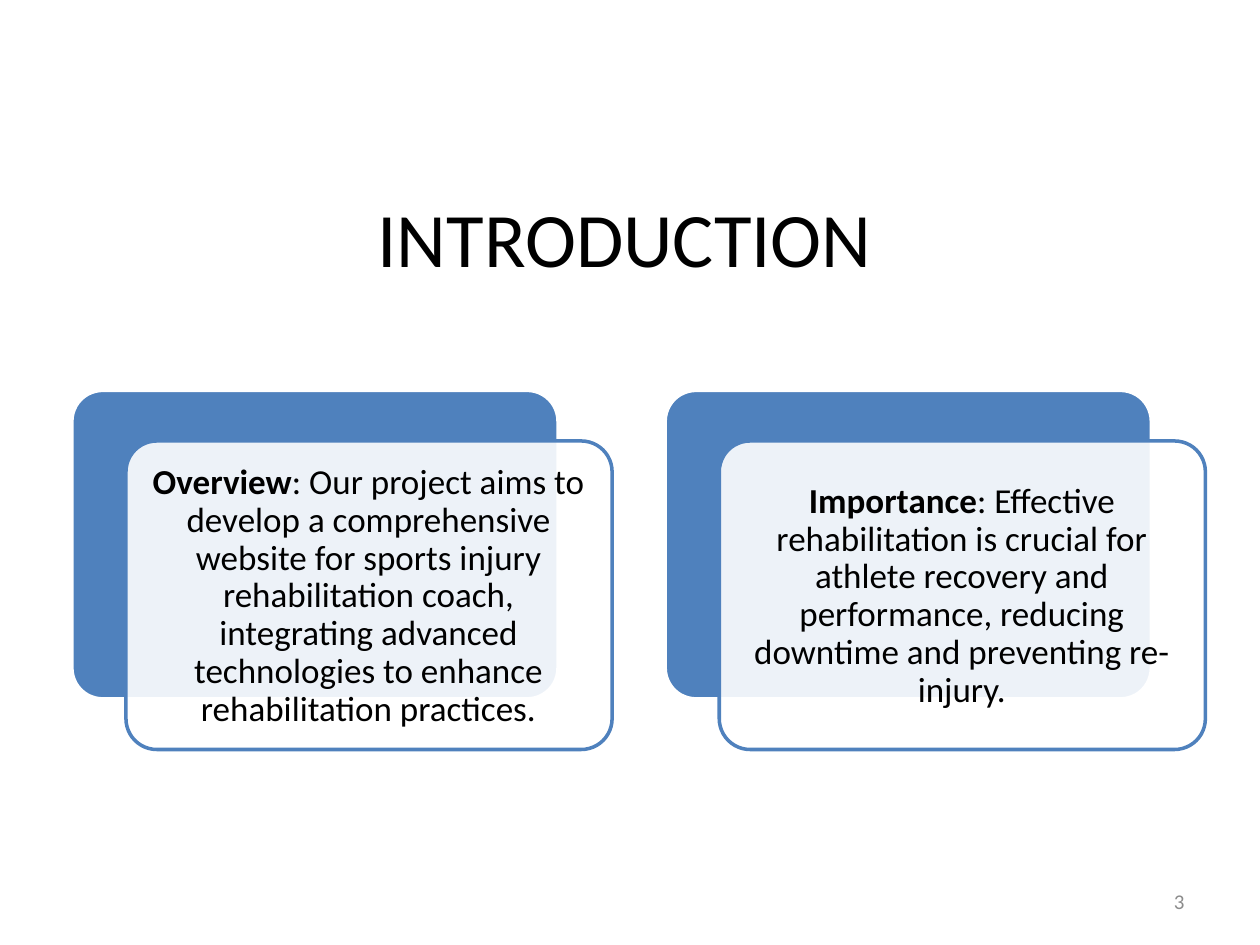
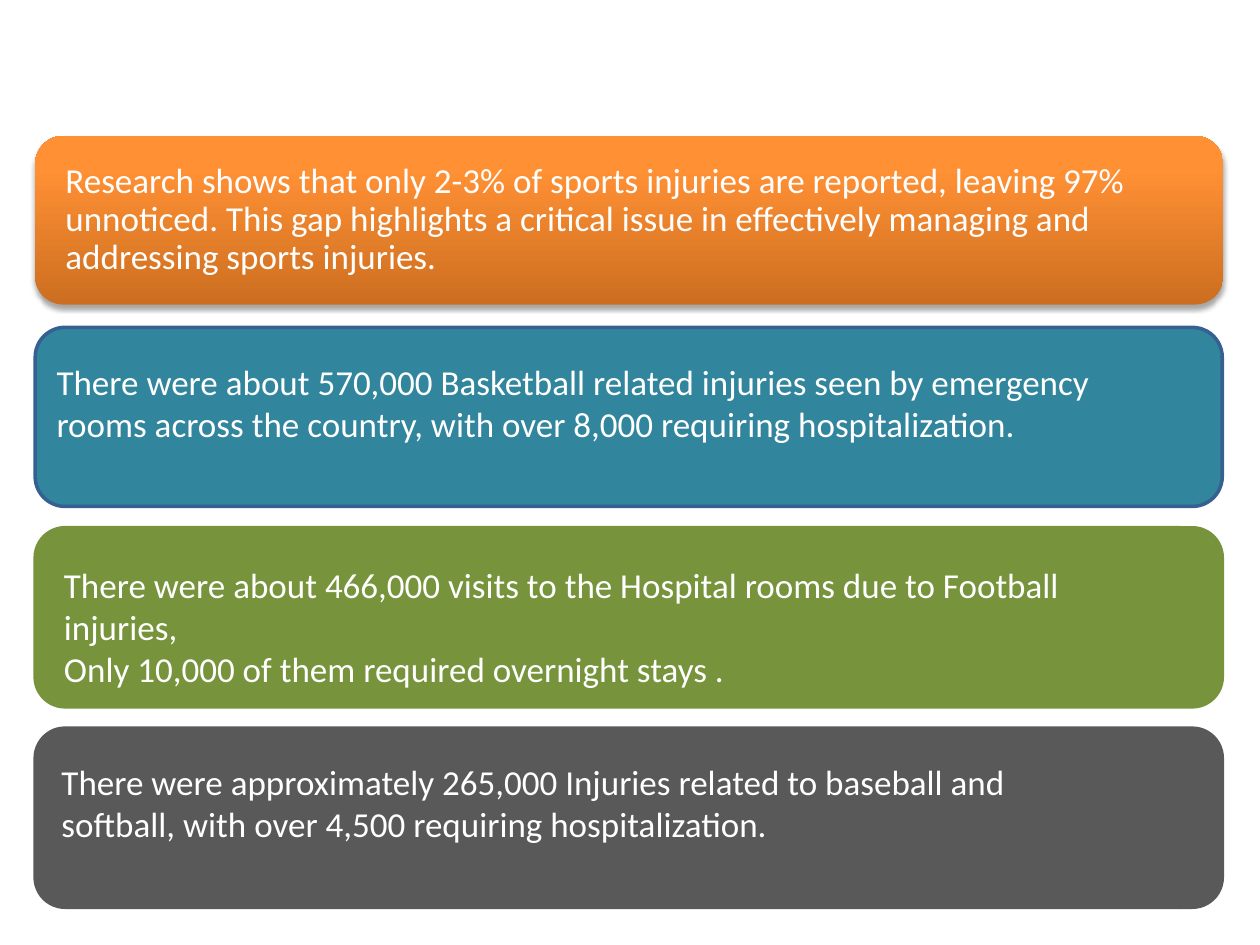
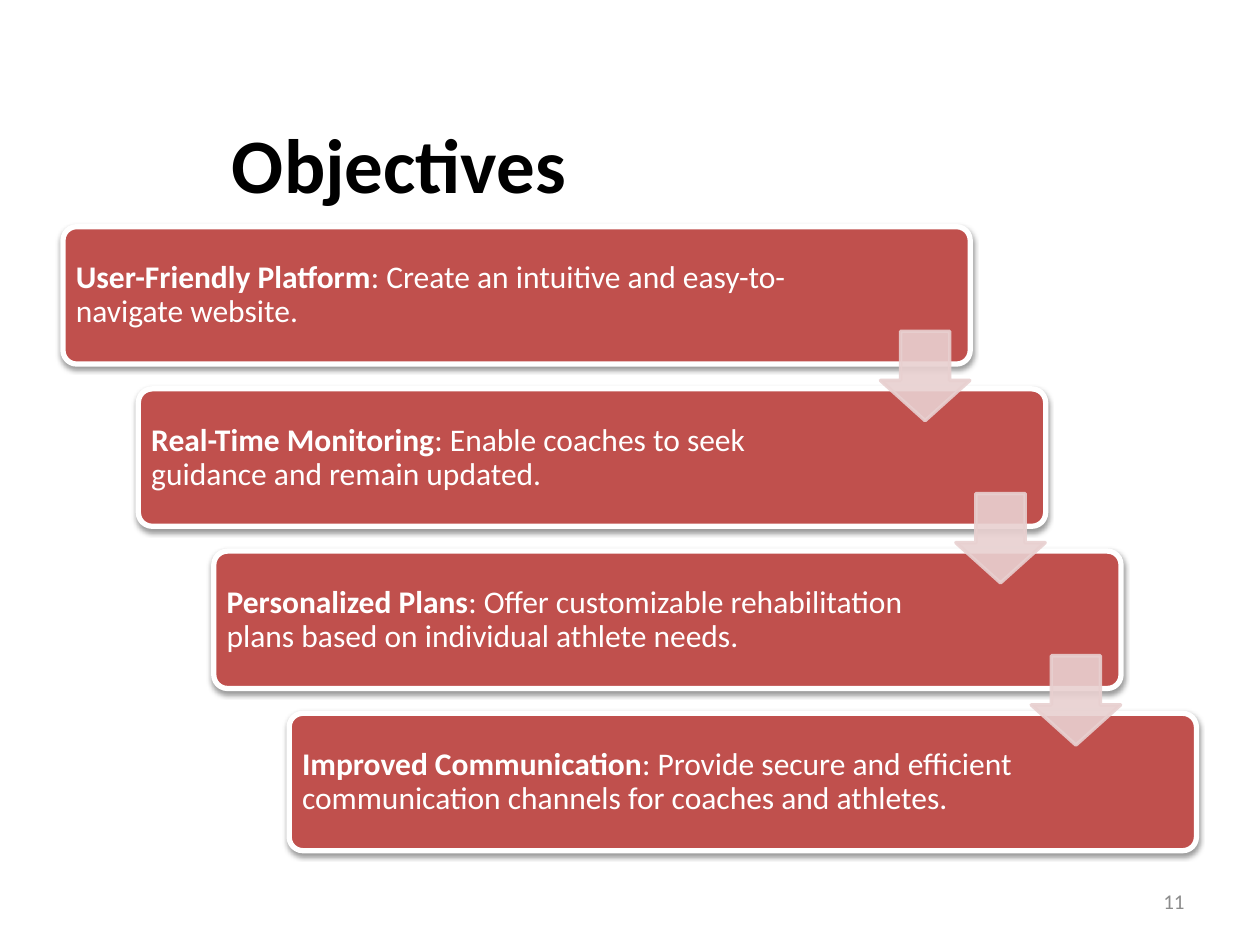
"""Build three slides on a sports injury rehabilitation project."""
import copy

import pptx
import pptx.dml.color
import pptx.enum.shapes
import pptx.enum.text
import pptx.oxml
import pptx.oxml.ns
import pptx.util

Cm, Pt = pptx.util.Cm, pptx.util.Pt
Shape = pptx.enum.shapes.MSO_SHAPE
Align = pptx.enum.text.PP_ALIGN
Anchor = pptx.enum.text.MSO_ANCHOR

COLOURS = {
    "white": "FFFFFF", "black": "000000", "number": "8C8C8C",
    "card": "4F81BD", "step": "C0504D", "arrow": "E8D0D0",
    "teal": "31859C", "teal edge": "376092", "green": "77933C", "grey": "595959",
    "orange dark": "CC6E20", "orange": "FF9034", "orange light": "FF9136",
}
FONT = "Calibri"
TITLE_SIZE = (22.86, 3.18)

CARDS = [
    ("Overview", ": Our project aims to develop a comprehensive website for sports injury "
     "rehabilitation coach, integrating advanced technologies to enhance rehabilitation practices."),
    ("Importance", ": Effective rehabilitation is crucial for athlete recovery and performance, "
     "reducing downtime and preventing re-injury."),
]

RESEARCH = ("Research shows that only 2-3% of sports injuries are reported, leaving 97% unnoticed. "
            "This gap highlights a critical issue in effectively managing and addressing sports injuries.")
RESEARCH_STOPS = [(0, "orange dark"), (0.8, "orange"), (1, "orange light")]

SPORTS = [
    {"fill": "teal", "edge": "teal edge", "text_at": (0.89, 7.14), "text_width": 21.97,
     "lines": ["There were about 570,000 Basketball related injuries seen by emergency rooms "
               "across the country, with over 8,000 requiring hospitalization."]},
    {"fill": "green", "edge": "green", "text_at": (1.04, 11.23), "text_width": 23.01,
     "lines": ["There were about 466,000 visits to the Hospital rooms due to Football injuries,",
               "Only 10,000 of them required overnight stays ."]},
    {"fill": "grey", "edge": "grey", "text_at": (0.99, 15.21), "text_width": 21.79,
     "lines": ["There were approximately 265,000 Injuries related to baseball and softball, "
               "with over 4,500 requiring hospitalization."]},
]

OBJECTIVES = [
    ("User-Friendly Platform", ": Create an intuitive and easy-to-navigate website."),
    ("Real-Time Monitoring", ": Enable coaches to seek guidance and remain updated."),
    ("Personalized Plans", ": Offer customizable rehabilitation plans based on individual athlete needs."),
    ("Improved Communication", ": Provide secure and efficient communication channels for coaches and athletes."),
]


def rgb(name):
    return pptx.dml.color.RGBColor.from_string(COLOURS[name])


def add_text(slide, box, paragraphs, size, colour="white", align=Align.LEFT,
             anchor=Anchor.MIDDLE, inset=None, spacing=None):
    """Add a text box; each paragraph is a list of (words, bold) runs."""
    frame = slide.shapes.add_textbox(*map(Cm, box)).text_frame
    frame.word_wrap = True
    frame.vertical_anchor = anchor
    if inset is not None:
        frame.margin_left = frame.margin_right = Cm(inset)
        frame.margin_top = frame.margin_bottom = Cm(inset)
    for i, runs in enumerate(paragraphs):
        paragraph = frame.add_paragraph() if i else frame.paragraphs[0]
        paragraph.alignment = align
        if spacing:
            paragraph.line_spacing = spacing
        paragraph.font.name = FONT
        paragraph.font.size = Pt(size)
        paragraph.font.color.rgb = rgb(colour)
        for words, bold in runs:
            run = paragraph.add_run()
            run.text = words
            if bold:
                run.font.bold = True
    return frame


def add_block(slide, kind, box, fill, edge=None, width=2, adjust=(), opacity=None):
    """Add a filled preset shape without a shadow."""
    block = slide.shapes.add_shape(kind, *map(Cm, box))
    for i, value in enumerate(adjust):
        block.adjustments[i] = value
    block.fill.solid()
    block.fill.fore_color.rgb = rgb(fill)
    if edge:
        block.line.color.rgb = rgb(edge)
        block.line.width = Pt(width)
    else:
        block.line.fill.background()
    block.shadow.inherit = False
    if opacity:
        set_opacity(block.element.spPr.find(pptx.oxml.ns.qn("a:solidFill")), opacity)
    return block


def set_opacity(fill, percent):
    alpha = pptx.oxml.parse_xml(f'<a:alpha {pptx.oxml.ns.nsdecls("a")} val="{percent * 1000}"/>')
    fill[0].append(alpha)


def add_shadow(block, opacity, blur, distance):
    """Give a block a soft shadow falling straight down."""
    effects = block.element.spPr.find(pptx.oxml.ns.qn("a:effectLst"))
    effects.append(pptx.oxml.parse_xml(
        f'<a:outerShdw {pptx.oxml.ns.nsdecls("a")} blurRad="{Pt(blur)}" dist="{Pt(distance)}" '
        f'dir="5400000" rotWithShape="0"><a:srgbClr val="{COLOURS["black"]}">'
        f'<a:alpha val="{opacity * 1000}"/></a:srgbClr></a:outerShdw>'))


def shade(block, stops):
    """Fill a block with a gradient rising from its bottom edge."""
    block.fill.gradient()
    block.fill.gradient_angle = 90
    stop_list = block.element.spPr.find(".//" + pptx.oxml.ns.qn("a:gsLst"))
    while len(stop_list) < len(stops):
        stop_list.append(copy.deepcopy(stop_list[0]))
    for stop, (position, colour) in zip(block.fill.gradient_stops, stops):
        stop.position = position
        stop.color.rgb = rgb(colour)


def new_slide(deck, number):
    slide = deck.slides.add_slide(deck.slide_layouts[6])
    add_text(slide, (18.21, 17.65, 5.92, 1.02), [[(number, False)]], 12, "number", Align.RIGHT)
    return slide


def add_title(slide, left, top, title, bold=False):
    add_text(slide, (left, top, *TITLE_SIZE), [[(title, bold)]], 44, "black", Align.CENTER)


def build_introduction(deck):
    slide = new_slide(deck, "3")
    add_title(slide, 1.17, 3.18, "INTRODUCTION")
    card_size = (9.8, 6.22)
    for i, (term, detail) in enumerate(CARDS):
        left, top = 1.45 + 11.96 * i, 7.87
        add_block(slide, Shape.ROUNDED_RECTANGLE, (left, top, *card_size),
                  "card", "white", adjust=[0.1])
        add_block(slide, Shape.ROUNDED_RECTANGLE, (left + 1.09, top + 1.02, *card_size),
                  "white", "card", adjust=[0.1], opacity=90)
        add_text(slide, (left + 1.27, top + 1.22, 9.42, 5.87), [[(term, True), (detail, False)]],
                 20, "black", Align.CENTER, inset=0.2, spacing=0.9)


def build_statistics(deck):
    slide = new_slide(deck, "10")
    research = add_block(slide, Shape.ROUNDED_RECTANGLE, (0.71, 2.74, 23.95, 3.4), "orange")
    shade(research, RESEARCH_STOPS)
    add_shadow(research, 35, 3.1, 1.8)
    add_text(slide, (1.14, 2.9, 23.32, 3.07), [[(RESEARCH, False)]], 20, inset=0.18, spacing=0.9)
    for i, sport in enumerate(SPORTS):
        add_block(slide, Shape.ROUNDED_RECTANGLE, (0.71, 6.6 + 4.04 * i, 23.93, 3.61),
                  sport["fill"], sport["edge"])
        frame = add_text(slide, (*sport["text_at"], sport["text_width"], 1.96),
                         [[(line, False)] for line in sport["lines"]], 20, anchor=Anchor.TOP)
        frame.auto_size = pptx.enum.text.MSO_AUTO_SIZE.SHAPE_TO_FIT_TEXT


def build_objectives(deck):
    slide = new_slide(deck, "11")
    add_title(slide, -3.38, 1.7, "Objectives", bold=True)
    corners = [(1.27 + 1.52 * i, 4.57 + 3.27 * i) for i in range(len(OBJECTIVES))]
    for (left, top), (term, detail) in zip(corners, OBJECTIVES):
        step = add_block(slide, Shape.ROUNDED_RECTANGLE, (left, top, 18.29, 2.77),
                         "step", "white", 3, [0.1])
        add_shadow(step, 38, 3.1, 1.6)
        add_text(slide, (left + 0.08, top + 0.08, 14.81, 2.62), [[(term, True), (detail, False)]],
                 18, inset=0.18, spacing=0.9)
    for left, top in corners[:-1]:
        arrow = add_block(slide, Shape.DOWN_ARROW, (left + 16.48, top + 2.11, 1.8, 1.8),
                          "arrow", "arrow", adjust=[0.55, 0.45], opacity=90)
        set_opacity(arrow.line._ln.find(pptx.oxml.ns.qn("a:solidFill")), 90)


def main():
    deck = pptx.Presentation()
    deck.slide_width, deck.slide_height = Cm(25.4), Cm(19.05)
    build_introduction(deck)
    build_statistics(deck)
    build_objectives(deck)
    deck.save("out.pptx")


if __name__ == "__main__":
    main()
